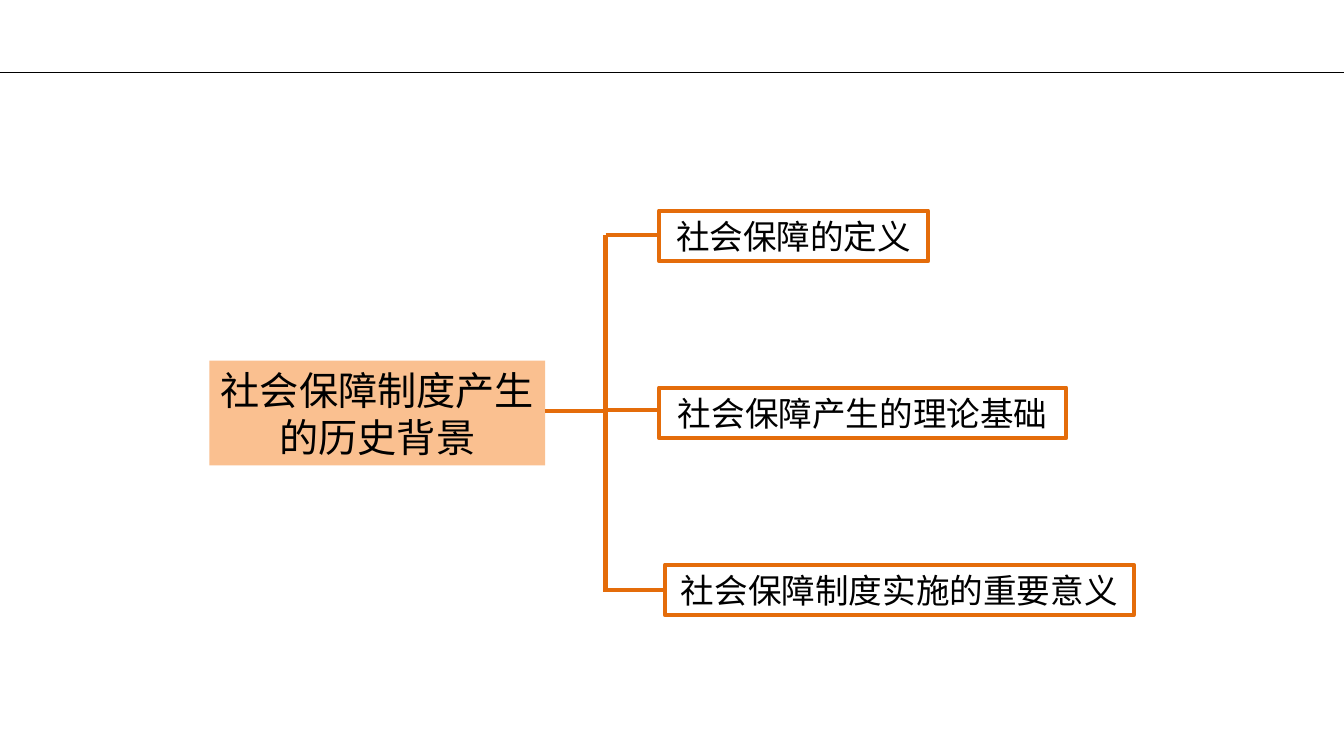
from lxml import etree
from pptx import Presentation
from pptx.dml.color import RGBColor
from pptx.enum.shapes import MSO_CONNECTOR, MSO_SHAPE
from pptx.enum.text import MSO_ANCHOR, PP_ALIGN
from pptx.oxml.ns import qn
from pptx.util import Cm, Pt

STRAIGHT = MSO_CONNECTOR.STRAIGHT
RECT = MSO_SHAPE.RECTANGLE
CENTER = PP_ALIGN.CENTER
MIDDLE = MSO_ANCHOR.MIDDLE

BLACK = RGBColor(0x00, 0x00, 0x00)
PEACH = RGBColor(0xFA, 0xC0, 0x90)
ORANGE = RGBColor(0xE4, 0x6C, 0x0A)

SLIDE_W, SLIDE_H = 33.87, 19.05
BLANK_LAYOUT = 6

# Tree geometry in cm
ROOT = (5.28, 9.09, 8.46, 2.64)
TRUNK_X = 15.26
ROOT_Y = 10.36
BRANCH_TOP, BRANCH_STEP, BRANCH_H = 5.31, 4.46, 1.27
# Text, left, width, height of the connecting line
BRANCHES = [
    ("社会保障的定义", 16.61, 6.78, 5.92),
    ("社会保障产生的理论基础", 16.61, 10.26, 10.34),
    ("社会保障制度实施的重要意义", 16.76, 11.81, 14.86),
]


class TreeSlide:
    font = "Calibri"
    border = 3

    def __init__(self, slide):
        self.slide = slide

    def line(self, x1, y1, x2, y2, color=ORANGE, width=border):
        cx = self.slide.shapes.add_connector(
            STRAIGHT, Cm(x1), Cm(y1), Cm(x2), Cm(y2))
        cx.line.color.rgb = color
        cx.line.width = Pt(width)
        etree.SubElement(cx._element.spPr, qn("a:effectLst"))

    def box(self, text, left, top, width, height, size, fill=None):
        sp = self.slide.shapes.add_shape(
            RECT, Cm(left), Cm(top), Cm(width), Cm(height))
        sp.shadow.inherit = False
        if fill is None:
            sp.fill.background()
            sp.line.color.rgb = ORANGE
            sp.line.width = Pt(self.border)
        else:
            sp.fill.solid()
            sp.fill.fore_color.rgb = fill
            sp.line.fill.background()
        tf = sp.text_frame
        tf.word_wrap = True
        tf.vertical_anchor = MIDDLE
        tf.text = text
        p = tf.paragraphs[0]
        p.alignment = CENTER
        r = p.runs[0]
        r.font.name = self.font
        r.font.size = Pt(size)
        r.font.color.rgb = BLACK


def main():
    prs = Presentation()
    prs.slide_width, prs.slide_height = Cm(SLIDE_W), Cm(SLIDE_H)
    s = TreeSlide(prs.slides.add_slide(prs.slide_layouts[BLANK_LAYOUT]))

    # Header rule
    s.line(0, 1.83, SLIDE_W, 1.83, BLACK, 1)

    # Root topic and its stem
    s.box("社会保障制度产生的历史背景", *ROOT, 28, PEACH)
    s.line(ROOT[0] + ROOT[2], ROOT_Y, TRUNK_X, ROOT_Y)

    # Branches
    for i, (text, left, width, y) in enumerate(BRANCHES):
        s.line(TRUNK_X, y, left, y)
        s.box(text, left, BRANCH_TOP + i * BRANCH_STEP, width, BRANCH_H, 24)

    # Trunk
    s.line(TRUNK_X, BRANCHES[-1][3] + 0.05, TRUNK_X, BRANCHES[0][3])

    prs.save("out.pptx")


if __name__ == "__main__":
    main()
